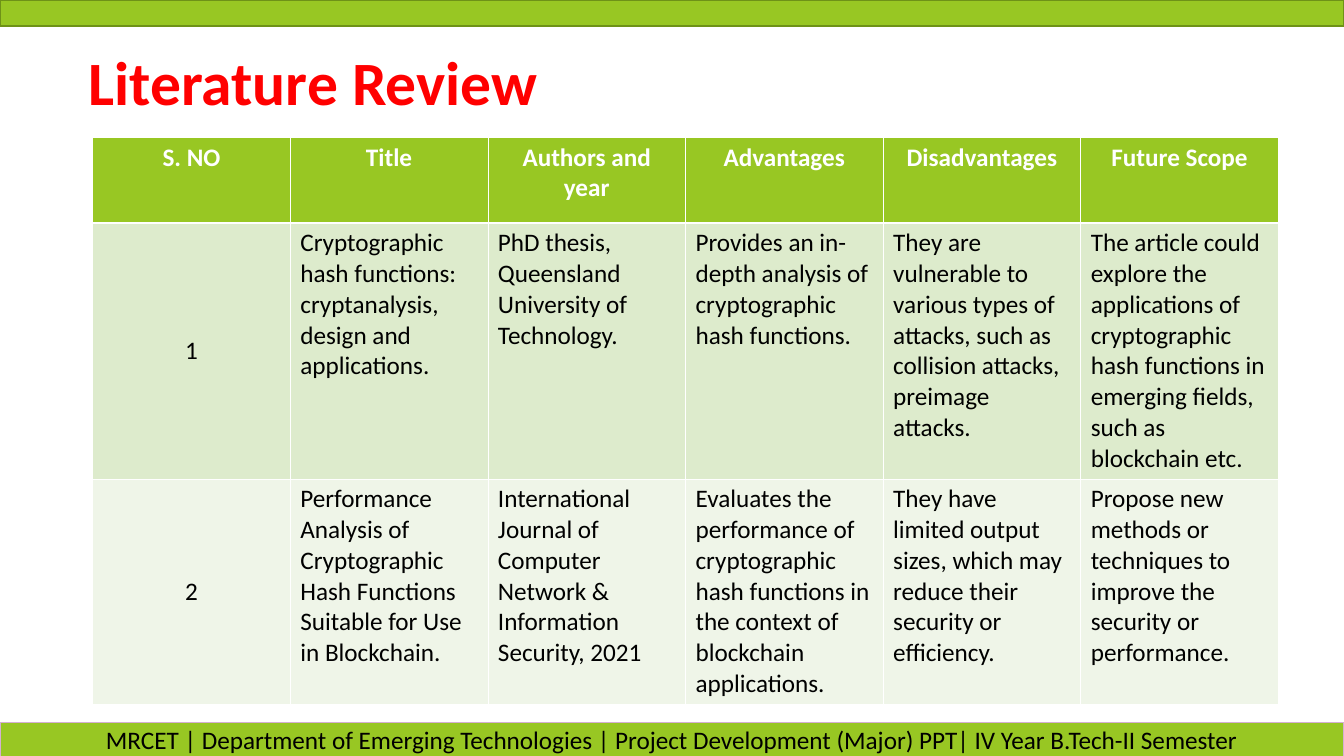
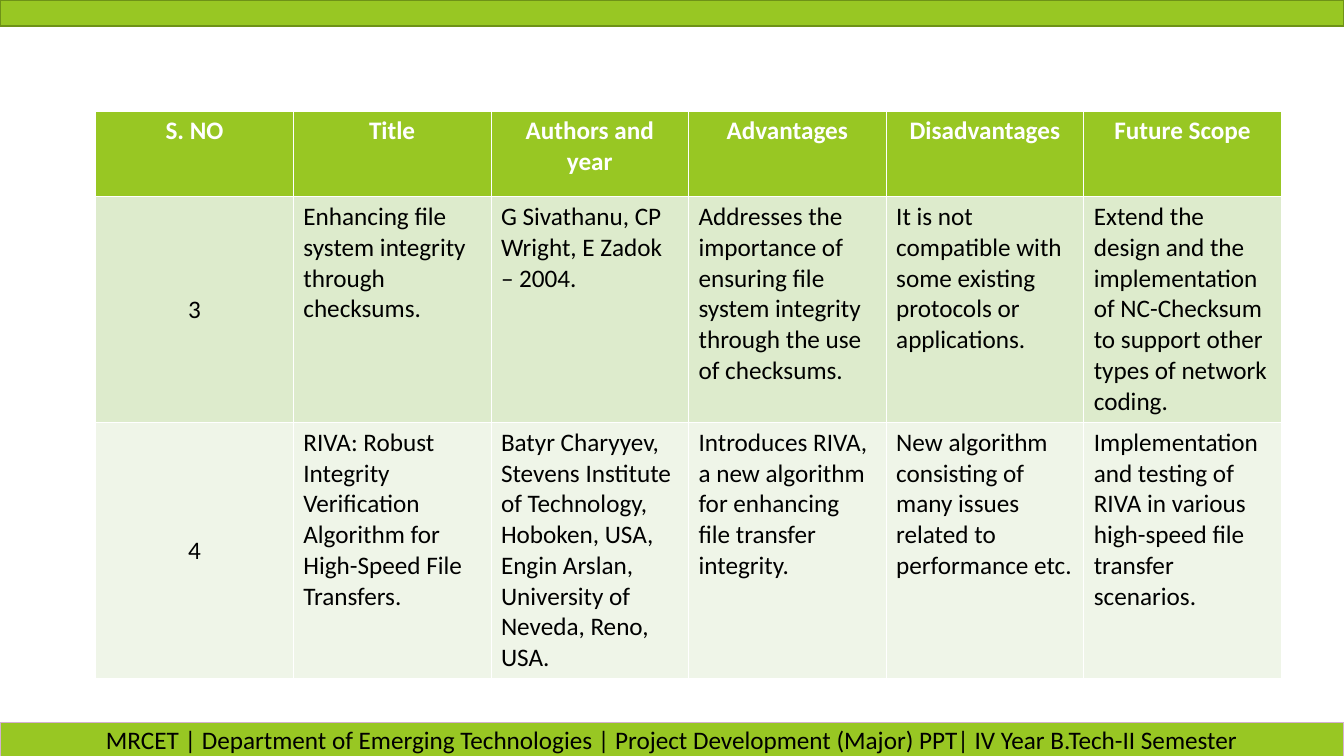
from pptx import Presentation
from pptx import util as u
from pptx.dml.color import RGBColor
from pptx.enum import shapes, text
from lxml import etree

# Content
FOOT = ("MRCET | Department of Emerging Technologies | "
        "Project Development (Major) PPT| IV Year B.Tech-II Semester")
HEAD = ["S. NO", "Title", "Authors and year", "Advantages",
        "Disadvantages", "Future Scope"]
PAGES = [
    {"title": "Literature Review", "at": (0.92, 1.36),
     "heights": (0.85, 2.54, 2.24), "rows": [
        ["1",
         "Cryptographic hash functions: cryptanalysis, design and applications.",
         "PhD thesis, Queensland University of Technology.",
         "Provides an in-depth analysis of cryptographic hash functions.",
         "They are vulnerable to various types of attacks, such as collision "
         "attacks, preimage attacks.",
         "The article could explore the applications of cryptographic hash "
         "functions in emerging fields, such as blockchain etc."],
        ["2",
         "Performance Analysis of Cryptographic Hash Functions Suitable for "
         "Use in Blockchain.",
         "International Journal of Computer Network & Information Security, 2021",
         "Evaluates the performance of cryptographic hash functions in the "
         "context of blockchain applications.",
         "They have limited output sizes, which may reduce their security or "
         "efficiency.",
         "Propose new methods or techniques to improve the security or "
         "performance."]]},
    {"title": None, "at": (0.95, 1.1),
     "heights": (0.85, 2.24, 2.54), "rows": [
        ["3",
         "Enhancing file system integrity through checksums.",
         "G Sivathanu, CP Wright, E Zadok – 2004.",
         "Addresses the importance of ensuring file system integrity through "
         "the use of checksums.",
         "It is not compatible with some existing protocols or applications.",
         "Extend the design and the implementation of NC-Checksum to support "
         "other types of network coding."],
        ["4",
         "RIVA: Robust Integrity Verification Algorithm for High-Speed File "
         "Transfers.",
         "Batyr Charyyev, Stevens Institute of Technology, Hoboken, USA, "
         "Engin Arslan, University of Neveda, Reno, USA.",
         "Introduces RIVA, a new algorithm for enhancing file transfer "
         "integrity.",
         "New algorithm consisting of many issues related to performance etc.",
         "Implementation and testing of RIVA in various high-speed file "
         "transfer scenarios."]]},
]

# Shared style
WIDE, HIGH = 13.34, 7.5
TABLE_W = 11.77
FONT = "Calibri"
GREEN, RED, BLACK, WHITE = "98C723", "FF0000", "000000", "FFFFFF"
FILLS = [GREEN, "DDEBCC", "EFF5E8"]
THIN, THICK = 0.45, 1.47
NS = "http://schemas.openxmlformats.org/drawingml/2006/main"
MID = text.MSO_ANCHOR.MIDDLE
CENTER, LEFT = text.PP_ALIGN.CENTER, text.PP_ALIGN.LEFT


def paint(fill, color):
    fill.solid()
    fill.fore_color.rgb = RGBColor.from_string(color)


def style(para, size, color, bold=False, align=LEFT):
    para.alignment = align
    font = para.font
    font.name, font.size, font.bold = FONT, u.Pt(size), bold
    font.color.rgb = RGBColor.from_string(color)


def place(shape, *box):
    shape.left, shape.top, shape.width, shape.height = map(u.Inches, box)


def add_band(slide, master, top, height, edge, words=""):
    """Draw a full-width band and move it to the master."""
    band = slide.shapes.add_shape(
        shapes.MSO_SHAPE.RECTANGLE, 0, u.Inches(top),
        u.Inches(WIDE), u.Inches(height))
    band.shadow.inherit = False
    paint(band.fill, GREEN)
    paint(band.line.fill, edge)
    band.line.width = u.Pt(1)
    if words:
        frame = band.text_frame
        frame.text, frame.vertical_anchor = words, MID
        style(frame.paragraphs[0], 18, BLACK, align=CENTER)
    master.shapes.element.append(band.element)


def set_edges(cell, row):
    """White cell borders, heavier between the head and the body."""
    props = cell._tc.get_or_add_tcPr()
    heavy = {(0, "B"), (1, "T")}
    for side in "LRTB":
        width = THICK if (row, side) in heavy else THIN
        line = etree.SubElement(props, f"{{{NS}}}ln{side}", w=str(u.Pt(width)))
        fill = etree.SubElement(line, f"{{{NS}}}solidFill")
        etree.SubElement(fill, f"{{{NS}}}srgbClr", val=WHITE)


def add_review(slide, page):
    rows = [HEAD] + page["rows"]
    left, top = page["at"]
    table = slide.shapes.add_table(
        len(rows), len(HEAD), u.Inches(left), u.Inches(top),
        u.Inches(TABLE_W), u.Inches(sum(page["heights"]))).table
    for col in table.columns:
        col.width = u.Inches(TABLE_W / len(HEAD))
    for r, words in enumerate(rows):
        table.rows[r].height = u.Inches(page["heights"][r])
        for c, word in enumerate(words):
            cell, head = table.cell(r, c), r == 0
            cell.text = word
            style(cell.text_frame.paragraphs[0], 18, WHITE if head else BLACK,
                  head, CENTER if head or c == 0 else LEFT)
            if c == 0 and not head:
                cell.vertical_anchor = MID
            set_edges(cell, r)
            paint(cell.fill, FILLS[r])


def add_title(slide, words):
    title = slide.shapes.title
    place(title, 0.78, 0.42, 11.5, 0.85)
    frame = title.text_frame
    frame.text, frame.vertical_anchor = words, MID
    para = frame.paragraphs[0]
    para.line_spacing = 0.9
    style(para, 44, RED, True)


def main():
    deck = Presentation()
    deck.slide_width, deck.slide_height = u.Inches(WIDE), u.Inches(HIGH)
    only_title, blank = deck.slide_layouts[5], deck.slide_layouts[6]
    for page in PAGES:
        slide = deck.slides.add_slide(only_title if page["title"] else blank)
        if page["title"]:
            add_title(slide, page["title"])
        add_review(slide, page)

    # Bands shared by every slide
    first, master = deck.slides[0], deck.slide_master
    add_band(first, master, 0, 0.26, "6E9217")
    add_band(first, master, 7.17, 0.34, "D4B0D2", FOOT)
    deck.save("out.pptx")


if __name__ == "__main__":
    main()
